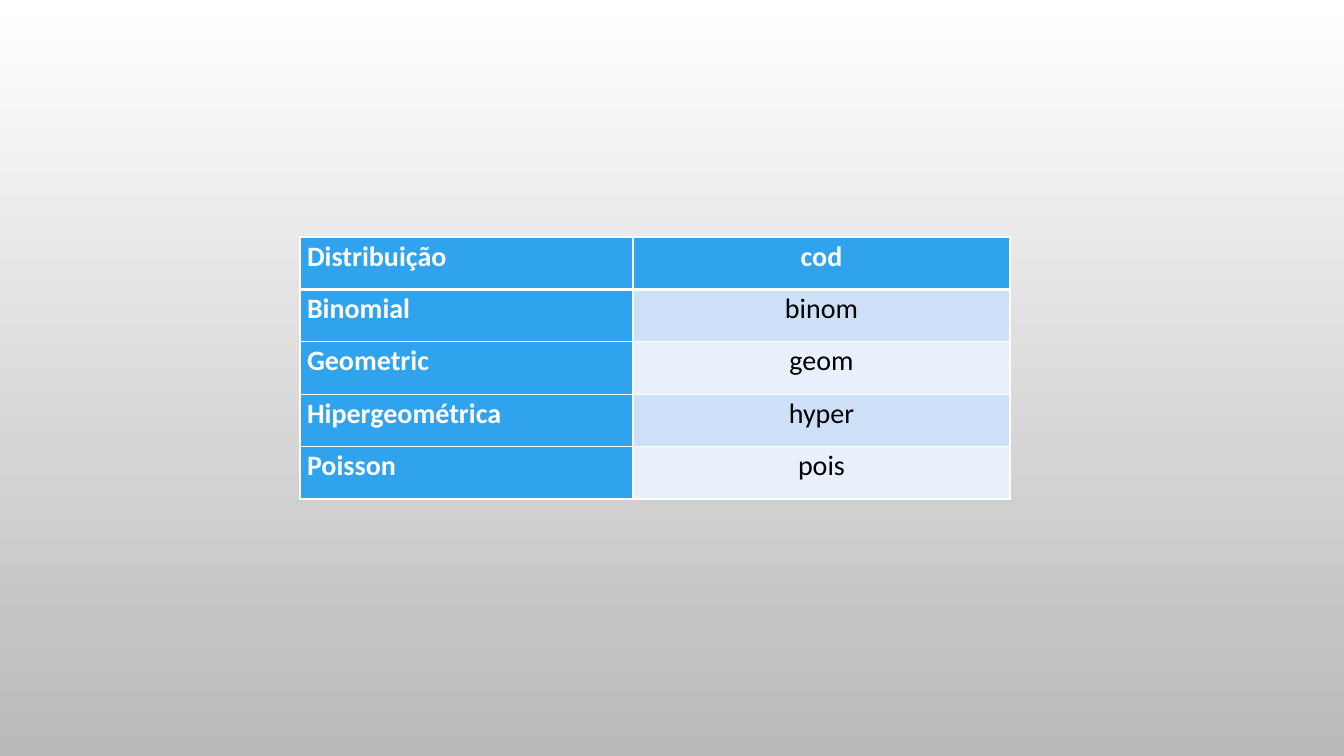
import pptx
import pptx.dml.color
import pptx.enum.text
import pptx.util
from lxml import etree
from pptx.oxml.ns import qn

PX = 12192000 / 1344
SLIDE_SIZE = (1344, 756)
WHITE = pptx.dml.color.RGBColor(0xFF, 0xFF, 0xFF)
BLACK = pptx.dml.color.RGBColor(0x00, 0x00, 0x00)
GRAY = pptx.dml.color.RGBColor(0xB9, 0xB9, 0xB9)
BLUE = pptx.dml.color.RGBColor(0x2F, 0xA3, 0xEE)
BAND_DARK = pptx.dml.color.RGBColor(0xCD, 0xE0, 0xF8)
BAND_LIGHT = pptx.dml.color.RGBColor(0xE8, 0xF0, 0xFC)
LEFT = pptx.enum.text.PP_ALIGN.LEFT
CENTER = pptx.enum.text.PP_ALIGN.CENTER

DISTRIBUTIONS = [
    ("Distribuição", "cod"),
    ("Binomial", "binom"),
    ("Geometric", "geom"),
    ("Hipergeométrica", "hyper"),
    ("Poisson", "pois"),
]


def px(length):
    """Turn a length in px into EMU."""
    return pptx.util.Emu(round(length * PX))


def write_text(frame, text, color=BLACK, bold=False, align=LEFT, size=20):
    """Write one formatted paragraph into a text frame."""
    paragraph = frame.paragraphs[0]
    paragraph.alignment = align
    paragraph.line_spacing = 1.07
    run = paragraph.add_run()
    run.text = text
    run.font.name = "Calibri"
    run.font.size = pptx.util.Pt(size)
    run.font.bold = bold
    run.font.color.rgb = color


def draw_borders(cell, top=1, bottom=1):
    """Give a cell white borders with the given widths in points."""
    properties = cell._tc.get_or_add_tcPr()
    for side, width in (("L", 1), ("R", 1), ("T", top), ("B", bottom)):
        border = etree.SubElement(properties, qn(f"a:ln{side}"), w=str(pptx.util.Pt(width)))
        fill = etree.SubElement(border, qn("a:solidFill"))
        etree.SubElement(fill, qn("a:srgbClr"), val=str(WHITE))


def paint_background(slide):
    """Fill the slide with a vertical gradient from white to gray."""
    fill = slide.background.fill
    fill.gradient()
    fill.gradient_angle = 270
    for stop, position, color in zip(fill.gradient_stops, (0, 1), (WHITE, GRAY)):
        stop.position = position
        stop.color.rgb = color


def add_distribution_table(slide, left, top, width, height, name_width):
    """Place the table of distributions and their codes in a box."""
    table = slide.shapes.add_table(
        len(DISTRIBUTIONS), 2, px(left), px(top), px(width), px(height)
    ).table
    table.columns[0].width = px(name_width)
    table.columns[1].width = px(width - name_width)
    for row, entry in enumerate(DISTRIBUTIONS):
        table.rows[row].height = px(height / len(DISTRIBUTIONS))
        for column, text in enumerate(entry):
            cell = table.cell(row, column)
            heading = row == 0 or column == 0
            band = BAND_DARK if row % 2 else BAND_LIGHT
            cell.margin_left = cell.margin_right = px(7)
            cell.margin_top = cell.margin_bottom = 0
            draw_borders(cell, top=3 if row == 1 else 1, bottom=3 if row == 0 else 1)
            cell.fill.solid()
            cell.fill.fore_color.rgb = BLUE if heading else band
            write_text(
                cell.text_frame,
                text,
                color=WHITE if heading else BLACK,
                bold=heading,
                align=CENTER if column else LEFT,
            )


def main():
    """Build the slide and save it."""
    presentation = pptx.Presentation()
    presentation.slide_width, presentation.slide_height = map(px, SLIDE_SIZE)
    slide = presentation.slides.add_slide(presentation.slide_layouts[6])
    paint_background(slide)
    add_distribution_table(slide, left=300, top=237, width=710, height=262, name_width=333)
    presentation.save("out.pptx")


if __name__ == "__main__":
    main()
